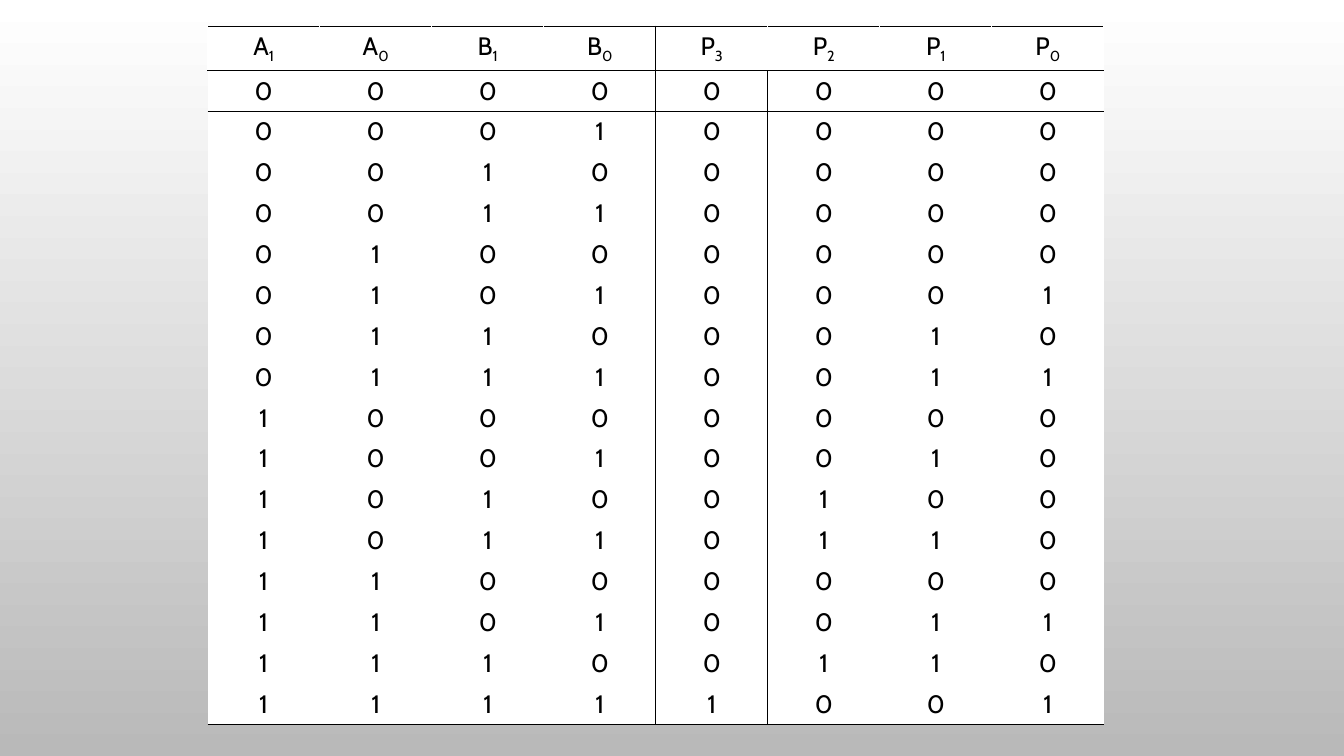
from dataclasses import dataclass
from itertools import product

from lxml import etree
from pptx import Presentation
from pptx import util as u
from pptx.dml.color import RGBColor
from pptx.enum import text
from pptx.oxml import ns


@dataclass(frozen=True)
class Theme:
    font: str = "Cabin"
    size: u.Pt = u.Pt(18)
    ink: str = "000000"
    paper: str = "FFFFFF"
    shade: str = "B9B9B9"
    line: u.Pt = u.Pt(1)
    drop: int = -25000  # subscript baseline
    style: str = "{2D5ABB26-0587-4C30-8999-92F81FD0307C}"  # no style, no grid


@dataclass(frozen=True)
class Entry:
    label: str
    sub: str
    edges: dict[str, str]


THEME = Theme()
HEADS = ("A1", "A0", "B1", "B0", "P3", "P2", "P1", "P0")
SPLIT = 4  # first output column


def truth() -> list[str]:
    """Rows of input bits followed by the four bits of A times B."""
    return [f"{a:02b}{b:02b}{a * b:04b}" for a, b in product(range(4), repeat=2)]


def edges(row: int, col: int, last: int) -> dict[str, str]:
    """Border colours of one cell, keyed by side in schema order."""
    sides = {}
    if row == 0:
        sides = {"L": THEME.paper, "R": THEME.paper, "T": THEME.ink, "B": THEME.ink}
    if row == 1:
        sides["T"] = THEME.ink
    if row == last:
        sides["B"] = THEME.ink
    if col == SPLIT - 1:
        sides["R"] = THEME.ink
    if col == SPLIT:
        sides["L"] = THEME.ink
    return {side: sides[side] for side in "LRTB" if side in sides}


def draw_cell(cell, entry: Entry) -> None:
    # Borders come before the fill in the cell properties
    props = cell._tc.get_or_add_tcPr()
    for side, color in entry.edges.items():
        line = etree.SubElement(props, ns.qn(f"a:ln{side}"), w=str(THEME.line))
        fill = etree.SubElement(line, ns.qn("a:solidFill"))
        etree.SubElement(fill, ns.qn("a:srgbClr"), val=color)
    cell.fill.solid()
    cell.fill.fore_color.rgb = RGBColor.from_string(THEME.paper)

    # Text with an optional subscript
    para = cell.text_frame.paragraphs[0]
    para.alignment = text.PP_ALIGN.CENTER
    para.font.name = THEME.font
    para.font.size = THEME.size
    para.font.color.rgb = RGBColor.from_string(THEME.ink)
    para.add_run().text = entry.label
    if entry.sub:
        run = para.add_run()
        run.text = entry.sub
        run._r.get_or_add_rPr().set("baseline", str(THEME.drop))


def draw_back(slide) -> None:
    fill = slide.background.fill
    fill.gradient()
    fill.gradient_angle = 270
    for stop, color in zip(fill.gradient_stops, (THEME.paper, THEME.shade)):
        stop.color.rgb = RGBColor.from_string(color)


def draw_table(slide) -> None:
    bits = truth()
    frame = slide.shapes.add_table(
        len(bits) + 1, len(HEADS),
        u.Inches(2.06), u.Inches(0.26), u.Inches(8.89), u.Inches(6.89),
    )
    table = frame.table
    table.first_row = table.horz_banding = False
    table._tbl.tblPr.find(ns.qn("a:tableStyleId")).text = THEME.style
    for row, labels in enumerate([HEADS, *bits]):
        for col, label in enumerate(labels):
            entry = Entry(label[0], label[1:], edges(row, col, len(bits)))
            draw_cell(table.cell(row, col), entry)


def main() -> None:
    deck = Presentation()
    deck.slide_width, deck.slide_height = u.Inches(13.33), u.Inches(7.5)
    slide = deck.slides.add_slide(deck.slide_layouts[6])
    draw_back(slide)
    draw_table(slide)
    deck.save("out.pptx")


if __name__ == "__main__":
    main()
